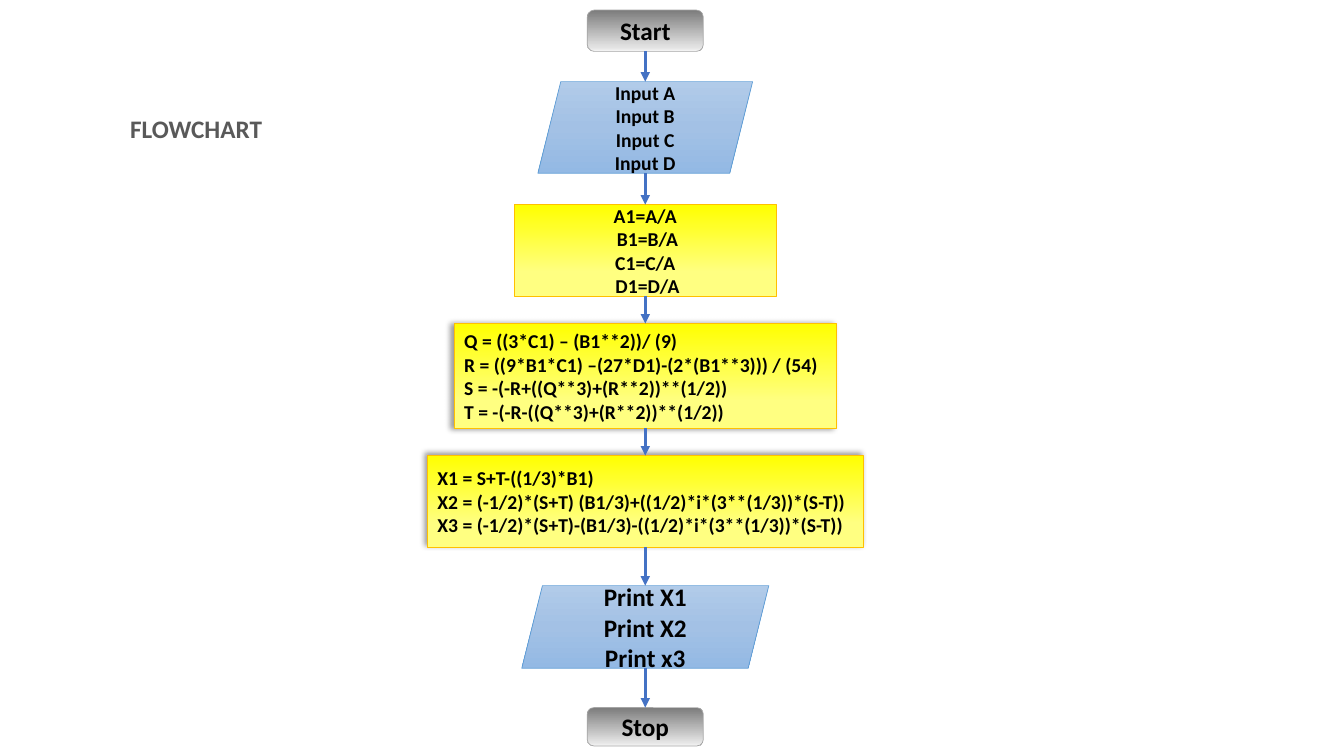
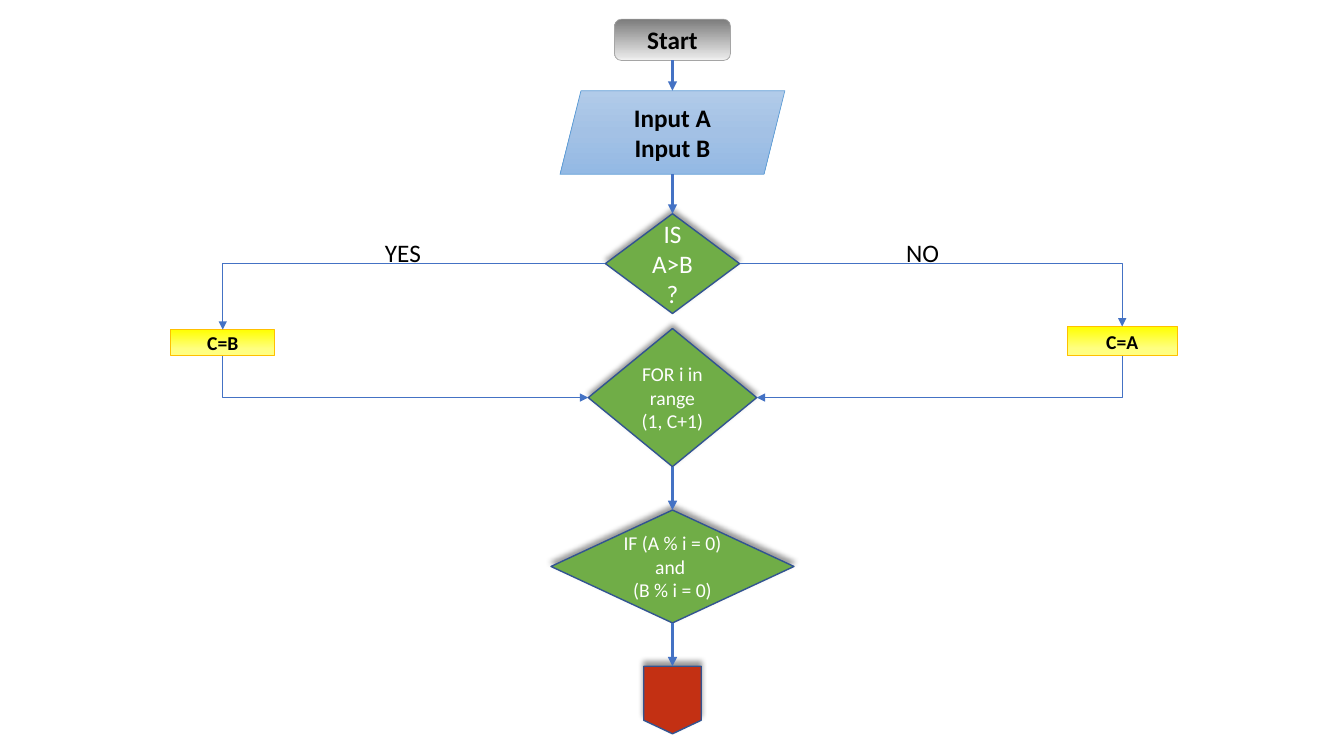
from collections import namedtuple
from itertools import pairwise

from lxml.etree import SubElement
from pptx import Presentation
from pptx.dml.color import RGBColor
from pptx.enum.shapes import MSO_CONNECTOR as LINK, MSO_SHAPE as SHAPE
from pptx.enum.text import MSO_ANCHOR as ANCHOR, MSO_AUTO_SIZE, PP_ALIGN as ALIGN
from pptx.oxml.ns import qn
from pptx.util import Inches, Pt

FONT = "Calibri"
BLACK = RGBColor(0x00, 0x00, 0x00)
WHITE = RGBColor(0xFF, 0xFF, 0xFF)
TITLE_GRAY = RGBColor(0x59, 0x59, 0x59)
ARROW_BLUE = RGBColor(0x44, 0x72, 0xC4)
EDGE_BLUE = RGBColor(0x32, 0x54, 0x91)
EDGE_SKY = RGBColor(0x5B, 0x9B, 0xD5)
EDGE_GRAY = RGBColor(0xA5, 0xA5, 0xA5)
EDGE_GOLD = RGBColor(0xFF, 0xC0, 0x00)
GREEN = RGBColor(0x70, 0xAD, 0x47)
RED = RGBColor(0xC3, 0x30, 0x13)

# Gradient stops run from top to bottom: (percent, colour)
SILVER = [(0, RGBColor(0x7C, 0x7C, 0x7C)), (90, RGBColor(0xE3, 0xE3, 0xE3)),
          (100, RGBColor(0xF4, 0xF4, 0xF4))]
SKY = [(0, RGBColor(0xB1, 0xCB, 0xE9)), (50, RGBColor(0xA3, 0xC1, 0xE5)),
       (100, RGBColor(0x93, 0xB9, 0xE4))]
YELLOW = [(0, RGBColor(0xFF, 0xFF, 0x00)), (74, RGBColor(0xFF, 0xFF, 0x81)),
          (100, RGBColor(0xFF, 0xFF, 0x81))]

Kind = namedtuple("Kind", "outline fill edge edge_width ink bold")
TERMINAL = Kind(SHAPE.ROUNDED_RECTANGLE, SILVER, EDGE_GRAY, 0.5, BLACK, True)
DATA = Kind(SHAPE.PARALLELOGRAM, SKY, EDGE_SKY, 0.5, BLACK, True)
PROCESS = Kind(SHAPE.RECTANGLE, YELLOW, EDGE_GOLD, 0.5, BLACK, True)
DECISION = Kind(SHAPE.DIAMOND, GREEN, EDGE_BLUE, 1, WHITE, False)
OFFPAGE = Kind(SHAPE.FLOWCHART_OFFPAGE_CONNECTOR, RED, EDGE_BLUE, 1, WHITE, False)

# Connection sites shared by rectangles and diamonds
TOP, LEFT, BOTTOM, RIGHT = range(4)

Step = namedtuple("Step", "kind top width height size lines align shadow",
                  defaults=(ALIGN.CENTER, None))

CUBIC_CENTER = 6.4
CUBIC_STEPS = [
    Step(TERMINAL, 0.1, 1.15, 0.41, 18, ["Start"]),
    Step(DATA, 0.81, 2.13, 0.91, 14, ["Input A", "Input B", "Input C", "Input D"]),
    Step(PROCESS, 2.03, 2.6, 0.91, 14, ["A1=A/A", " B1=B/A", "C1=C/A", " D1=D/A"]),
    Step(PROCESS, 3.21, 3.79, 1.04, 14, [
        "Q = ((3*C1) – (B1**2))/ (9)",
        "R = ((9*B1*C1) –(27*D1)-(2*(B1**3))) / (54)",
        "S = -(-R+((Q**3)+(R**2))**(1/2))",
        "T = -(-R-((Q**3)+(R**2))**(1/2))"], ALIGN.LEFT, 180),
    Step(PROCESS, 4.52, 4.32, 0.91, 14, [
        "X1 = S+T-((1/3)*B1)",
        "X2 = (-1/2)*(S+T) (B1/3)+((1/2)*i*(3**(1/3))*(S-T))",
        "X3 = (-1/2)*(S+T)-(B1/3)-((1/2)*i*(3**(1/3))*(S-T))"], ALIGN.LEFT, 225),
    Step(DATA, 5.81, 2.45, 0.82, 18, ["Print X1", "Print X2", "Print x3"]),
    Step(TERMINAL, 7.02, 1.15, 0.38, 18, ["Stop"]),
]

FACTOR_CENTER = 6.67
FACTOR_STEPS = [
    Step(TERMINAL, 0.19, 1.15, 0.41, 18, ["Start"]),
    Step(DATA, 0.9, 2.23, 0.83, 18, ["Input A", "Input B"]),
    Step(DECISION, 2.12, 1.33, 0.99, 18, ["IS A>B?"], shadow=270),
    Step(DECISION, 3.26, 1.67, 1.37, 14, ["FOR i in range", "(1, C+1)"], shadow=270),
    Step(DECISION, 5.06, 2.41, 1.12, 14, ["IF (A % i = 0) and ", "(B % i = 0)"],
         shadow=270),
    Step(OFFPAGE, 6.61, 0.57, 0.67, 14, [], shadow=270),
]
COMPARE, LOOP = 2, 3

# (answer, answer left, answer width, diamond side, box centre, box)
BRANCHES = [
    ("YES", 3.72, 0.66, LEFT, 2.21, Step(PROCESS, 3.27, 1.03, 0.26, 14, ["C=B"])),
    ("NO", 8.89, 0.74, RIGHT, 11.13, Step(PROCESS, 3.24, 1.09, 0.29, 14, ["C=A"])),
]


def write(frame, lines, size, color, bold=False, align=ALIGN.LEFT):
    """Fill a text frame with one paragraph per line in a single style."""
    frame.text = "\n".join(lines)
    for paragraph in frame.paragraphs:
        paragraph.alignment = align
        for run in paragraph.runs:
            font = run.font
            font.name, font.size, font.bold = FONT, Pt(size), bold
            font.color.rgb = color


def add_color(parent, color):
    """Append an RGB colour element and return it."""
    return SubElement(parent, qn("a:srgbClr"), val=str(color))


def paint(shape, fill):
    """Fill a shape with a plain colour or with vertical gradient stops."""
    if isinstance(fill, RGBColor):
        shape.fill.solid()
        shape.fill.fore_color.rgb = fill
        return
    shape.fill.gradient()
    shape.fill.gradient_angle = 270
    stops = shape.element.spPr.find(".//" + qn("a:gsLst"))
    for stop in list(stops):
        stops.remove(stop)
    for percent, color in fill:
        add_color(SubElement(stops, qn("a:gs"), pos=str(percent * 1000)), color)


def cast_shadow(shape, degrees):
    """Give a shape a soft shadow, or none when degrees is None."""
    shape.shadow.inherit = False
    if degrees is None:
        return
    effects = shape.element.spPr.find(qn("a:effectLst"))
    shadow = SubElement(effects, qn("a:outerShdw"), blurRad=str(Pt(4)),
                        dist=str(Pt(3)), dir=str(degrees * 60000), rotWithShape="0")
    SubElement(add_color(shadow, BLACK), qn("a:alpha"), val="40000")


def add_step(slide, step, center):
    """Draw one flowchart step centred on a vertical axis."""
    kind = step.kind
    shape = slide.shapes.add_shape(
        kind.outline, Inches(center - step.width / 2), Inches(step.top),
        Inches(step.width), Inches(step.height))
    paint(shape, kind.fill)
    shape.line.color.rgb = kind.edge
    shape.line.width = Pt(kind.edge_width)
    cast_shadow(shape, step.shadow)
    shape.text_frame.word_wrap = True
    shape.text_frame.vertical_anchor = ANCHOR.MIDDLE
    write(shape.text_frame, step.lines, step.size, kind.ink, kind.bold, step.align)
    return shape


def style_arrow(arrow, width, end="a:tailEnd"):
    """Colour a connector, add its arrowhead and drop its shadow."""
    arrow.line.color.rgb = ARROW_BLUE
    arrow.line.width = Pt(width)
    properties = arrow.element.spPr
    SubElement(properties.find(qn("a:ln")), qn(end), type="triangle")
    SubElement(properties, qn("a:effectLst"))


def add_column(slide, steps, center, unlinked=None):
    """Draw steps down an axis with arrows, except after the unlinked one."""
    shapes = [add_step(slide, step, center) for step in steps]
    for index, (upper, lower) in enumerate(pairwise(steps)):
        if index != unlinked:
            arrow = slide.shapes.add_connector(
                LINK.STRAIGHT, Inches(center), Inches(upper.top + upper.height),
                Inches(center), Inches(lower.top))
            style_arrow(arrow, 2.25)
    return shapes


def add_bend(slide, diamond, side, box, box_side, end):
    """Join a diamond's side to a box with one right-angle turn."""
    bend = slide.shapes.add_connector(LINK.ELBOW, 0, 0, 0, 0)
    bend.begin_connect(diamond, side)
    bend.end_connect(box, box_side)
    bend.element.spPr.find(qn("a:prstGeom")).set("prst", "bentConnector2")
    style_arrow(bend, 0.5, end)


def build_cubic(deck):
    """Build the flowchart that solves a cubic equation."""
    slide = deck.slides.add_slide(deck.slide_layouts[5])
    title = slide.shapes.title
    title.left, title.top = Inches(1.19), Inches(1.07)
    title.width, title.height = Inches(1.6), Inches(0.4)
    write(title.text_frame, ["FLOWCHART"], 18, TITLE_GRAY, True)
    title.text_frame.auto_size = MSO_AUTO_SIZE.NONE
    title.text_frame.vertical_anchor = ANCHOR.TOP
    add_column(slide, CUBIC_STEPS, CUBIC_CENTER)


def build_factor(deck):
    """Build the flowchart that looks for common factors."""
    slide = deck.slides.add_slide(deck.slide_layouts[6])
    column = add_column(slide, FACTOR_STEPS, FACTOR_CENTER, unlinked=COMPARE)
    for answer, left, width, side, center, step in BRANCHES:
        box = add_step(slide, step, center)
        add_bend(slide, column[COMPARE], side, box, TOP, "a:tailEnd")
        add_bend(slide, column[LOOP], side, box, BOTTOM, "a:headEnd")
        label = slide.shapes.add_textbox(
            Inches(left), Inches(2.31), Inches(width), Inches(0.4))
        label.text_frame.word_wrap = True
        write(label.text_frame, [answer], 18, BLACK)


deck = Presentation()
deck.slide_width, deck.slide_height = Inches(13.33), Inches(7.5)
build_cubic(deck)
build_factor(deck)
deck.save("out.pptx")
